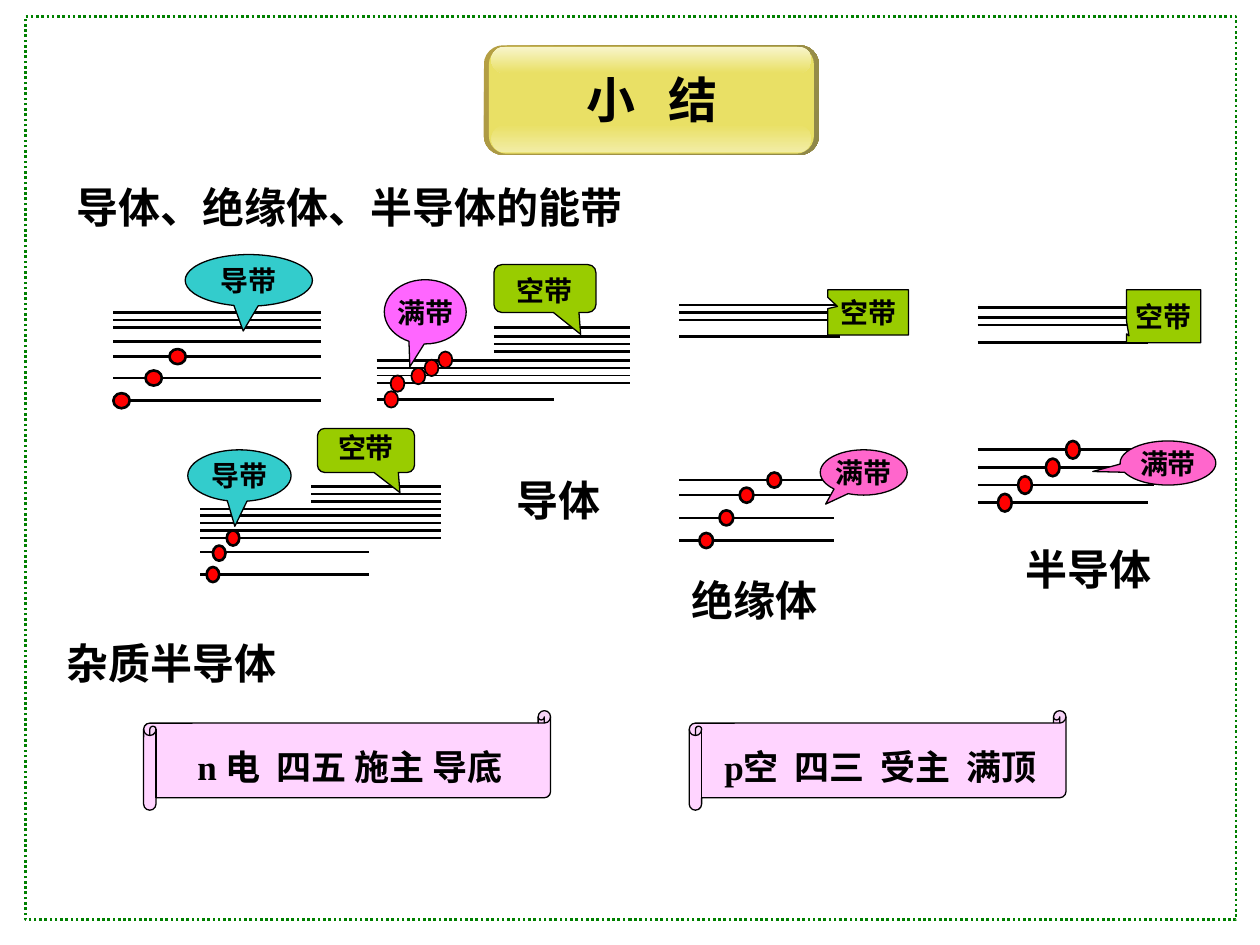
from dataclasses import dataclass

from lxml import etree
from pptx import Presentation, util as u
from pptx.dml.color import RGBColor
from pptx.enum import dml, shapes, text
from pptx.oxml.ns import qn


@dataclass(frozen=True)
class Theme:
    ink: str = "000000"
    frame: str = "008000"
    electron: str = "FF0000"
    conduction: str = "33CCCC"
    empty: str = "99CC00"
    filled: str = "FF66CC"
    filled_metal: str = "FF66FF"
    scroll: str = "FF00FF"
    scroll_alpha: int = 17000
    gold: str = "E9E065"
    gold_rim: tuple = ("B59F43", "8F8849")
    gold_foot: tuple = ("E9E065", "F2EDA6")
    gold_gloss: tuple = ("F8F5CC", "E9E065")
    font: str = "Times New Roman"
    title_font: str = "Noto Sans CJK SC"
    title: int = 28
    heading: int = 24
    rule: int = 20
    label: int = 16
    thin: float = 0.75
    thick: float = 1.5


theme = Theme()
kinds = shapes.MSO_SHAPE
deck = Presentation()
deck.slide_width, deck.slide_height = u.Inches(10), u.Inches(7.5)
slide = deck.slides.add_slide(deck.slide_layouts[6])

# The slide is a grid of 100 columns by 75 rows; boxes are (column, row, columns, rows).
COL, ROW = deck.slide_width / 100, deck.slide_height / 75


def place(kind, box, fill=None, line=None, weight=theme.thin, adjust=()):
    """Add a preset shape; kind None gives a text box, a pair of fills a gradient."""
    left, top, width, height = (int(n * unit) for n, unit in zip(box, (COL, ROW) * 2))
    if kind is None:
        return slide.shapes.add_textbox(left, top, width, height)
    shape = slide.shapes.add_shape(kind, left, top, width, height)
    shape.shadow.inherit = False
    for i, value in enumerate(adjust):
        shape.adjustments[i] = value
    if fill is None:
        shape.fill.background()
    elif isinstance(fill, tuple):
        shape.fill.gradient()
        for stop, colour in zip(shape.fill.gradient_stops, fill):
            stop.color.rgb = RGBColor.from_string(colour)
    else:
        shape.fill.solid()
        shape.fill.fore_color.rgb = RGBColor.from_string(fill)
    if line:
        shape.line.color.rgb = RGBColor.from_string(line)
        shape.line.width = u.Pt(weight)
    else:
        shape.line.fill.background()
    return shape


def write(shape, words, size, font=theme.font, centred=True, wrap=False,
          anchor=text.MSO_ANCHOR.MIDDLE, spacing=None):
    frame = shape.text_frame
    frame.word_wrap, frame.vertical_anchor = wrap, anchor
    paragraph = frame.paragraphs[0]
    paragraph.text = words
    paragraph.alignment = text.PP_ALIGN.CENTER if centred else text.PP_ALIGN.LEFT
    paragraph.line_spacing = spacing
    paragraph.font.name, paragraph.font.size, paragraph.font.bold = font, u.Pt(size), True
    paragraph.font.color.rgb = RGBColor.from_string(theme.ink)


border = place(kinds.RECTANGLE, (2, 1.3, 96.1, 71.7), None, theme.frame, theme.thick)
border.line.dash_style = dml.MSO_LINE.ROUND_DOT

# Title plate: rim, face, then the light at its foot and top
for box, fill, corner, angle in (
    ((38.4, 3.6, 26.6, 8.7), theme.gold_rim, 0.175, 315),
    ((38.8, 3.7, 25.8, 8.5), theme.gold, 0.167, None),
    ((39, 9.9, 25.4, 2.2), theme.gold_foot, 0.5, 270),
    ((39, 3.7, 25.4, 2.1), theme.gold_gloss, 0.5, 270),
):
    plate = place(kinds.ROUNDED_RECTANGLE, box, fill, adjust=(corner,))
    if angle:
        plate.fill.gradient_angle = angle
write(place(None, (42.5, 5, 18.5, 5.7)), "小   结", theme.title, theme.title_font, wrap=True,
      anchor=text.MSO_ANCHOR.TOP)

for words, box in (
    ("导体、绝缘体、半导体的能带", (5.1, 13.9, 59.1, 5)),
    ("杂质半导体", (4.3, 50.1, 29.9, 5)),
    ("导体", (40, 37.2, 8.7, 5)),
    ("绝缘体", (53.9, 45.1, 12.1, 5)),
    ("半导体", (80.4, 42.6, 12.1, 5)),
):
    write(place(None, box), words, theme.heading, centred=False)

for words, box in (
    ("p空  四三  受主  满顶", (54.7, 56.4, 29.9, 7.9)),
    ("n 电  四五 施主 导底", (11.4, 56.4, 32.3, 7.9)),
):
    scroll = place(kinds.HORIZONTAL_SCROLL, box, theme.scroll, theme.ink, adjust=(0.125,))
    tint = scroll._element.spPr.find(qn("a:solidFill"))[0]
    etree.SubElement(tint, qn("a:alpha")).set("val", str(theme.scroll_alpha))
    write(scroll, words, theme.rule, spacing=1.3)

# Each band diagram: levels (from column, to column, weight, rows),
# electrons (size, outline, centres) and callouts (words, kind, fill, box, tail).
oval, square = kinds.OVAL_CALLOUT, kinds.RECTANGULAR_CALLOUT
rounded = kinds.ROUNDED_RECTANGULAR_CALLOUT
rounded_tail = (0.35, 0.955, 0.167)
band_diagrams = (
    # Conductor with a partly filled band
    (((9, 25.5, theme.thick, (24.8, 25.4, 26, 27.1, 28.3, 30, 31.8)),),
     ((1.3, 1.2), theme.thick, ((9.65, 31.8), (12.2, 30), (14.1, 28.3))),
     (("导带", oval, theme.conduction, (14.7, 20.2, 10.1, 4.1), (-0.044, 0.982)),)),
    # Conductor with a filled band that overlaps an empty one
    (((29.9, 44, theme.thick, (28.6, 29.2, 31.7)),
      (29.9, 44, theme.thin, (30.4,)),
      (29.9, 50, theme.thin, (29.8,)),
      (39.2, 50, theme.thick, (26, 26.7, 27.3, 27.9, 28.6, 29.2, 30.4))),
     ((1.1, 1.3), 1, ((31.05, 31.7), (31.55, 30.45), (33.2, 29.85), (34.25, 29.2), (35.35, 28.55))),
     (("满带", oval, theme.filled_metal, (30.5, 22.2, 6.5, 5.1), (-0.188, 0.854)),
      ("空带", rounded, theme.empty, (39.2, 21, 8.1, 3.8), rounded_tail))),
    # Conductor with a partly filled band that overlaps an empty one
    (((15.9, 29.3, theme.thick, (40.9, 42.1, 43.8, 45.6)),
      (15.9, 25.2, theme.thick, (40.4,)),
      (15.9, 35, theme.thin, (41.5, 42.7)),
      (24.7, 35, theme.thick, (38.6, 39.2, 39.8, 40.4, 40.9, 42.1))),
     ((1, 1.2), theme.thick, ((16.9, 45.6), (17.4, 43.9), (18.5, 42.7))),
     (("导带", oval, theme.conduction, (14.9, 35.7, 8.2, 4.1), (-0.044, 0.982)),
      ("空带", rounded, theme.empty, (25.2, 34, 7.7, 3.5), rounded_tail))),
    # Insulator
    (((53.9, 66.7, theme.thick, (24.2, 24.8, 25.4, 26.7)),
      (53.9, 66.2, theme.thick, (38.1, 39.3, 41.1, 42.9))),
     ((1.1, 1.2), theme.thick, ((56.05, 42.9), (57.65, 41.1), (59.25, 39.3), (61.45, 38.1))),
     (("空带", square, theme.empty, (65.7, 23, 6.4, 3.6), (-0.38, -0.132)),
      ("满带", oval, theme.filled, (65.1, 35.7, 6.9, 3.6), (-0.438, 0.7)))),
    # Semiconductor
    (((77.6, 91.1, theme.thick, (24.4, 25.2, 25.8, 27.2, 39.9)),
      (77.6, 91.6, theme.thick, (35.7, 37.1, 38.5))),
     ((1.1, 1.4), theme.thick, ((79.75, 39.9), (81.35, 38.5), (83.55, 37.1), (85.15, 35.7))),
     (("空带", square, theme.empty, (89.4, 23, 5.9, 4.2), (-0.466, 0.368)),
      ("满带", oval, theme.filled, (88.9, 35, 7.6, 3.5), (-0.786, 0.192)))),
)

for levels, ((wide, high), outline, centres), callouts in band_diagrams:
    for start, end, weight, rows in levels:
        for row in rows:
            level = slide.shapes.add_connector(
                shapes.MSO_CONNECTOR.STRAIGHT,
                int(start * COL), int(row * ROW), int(end * COL), int(row * ROW))
            level.line.color.rgb = RGBColor.from_string(theme.ink)
            level.line.width = u.Pt(weight)
            etree.SubElement(level._element.spPr, qn("a:effectLst"))
    for x, y in centres:
        place(kinds.FLOWCHART_CONNECTOR, (x - wide / 2, y - high / 2, wide, high),
              theme.electron, theme.ink, outline)
    for words, kind, fill, box, tail in callouts:
        callout = place(kind, box, fill, theme.ink, adjust=tail)
        is_rounded = kind == rounded
        write(callout, words, theme.label, wrap=is_rounded,
              anchor=text.MSO_ANCHOR.TOP if is_rounded else text.MSO_ANCHOR.MIDDLE,
              spacing=0.8 if is_rounded and box[3] < 3.8 else None)

deck.save("out.pptx")
